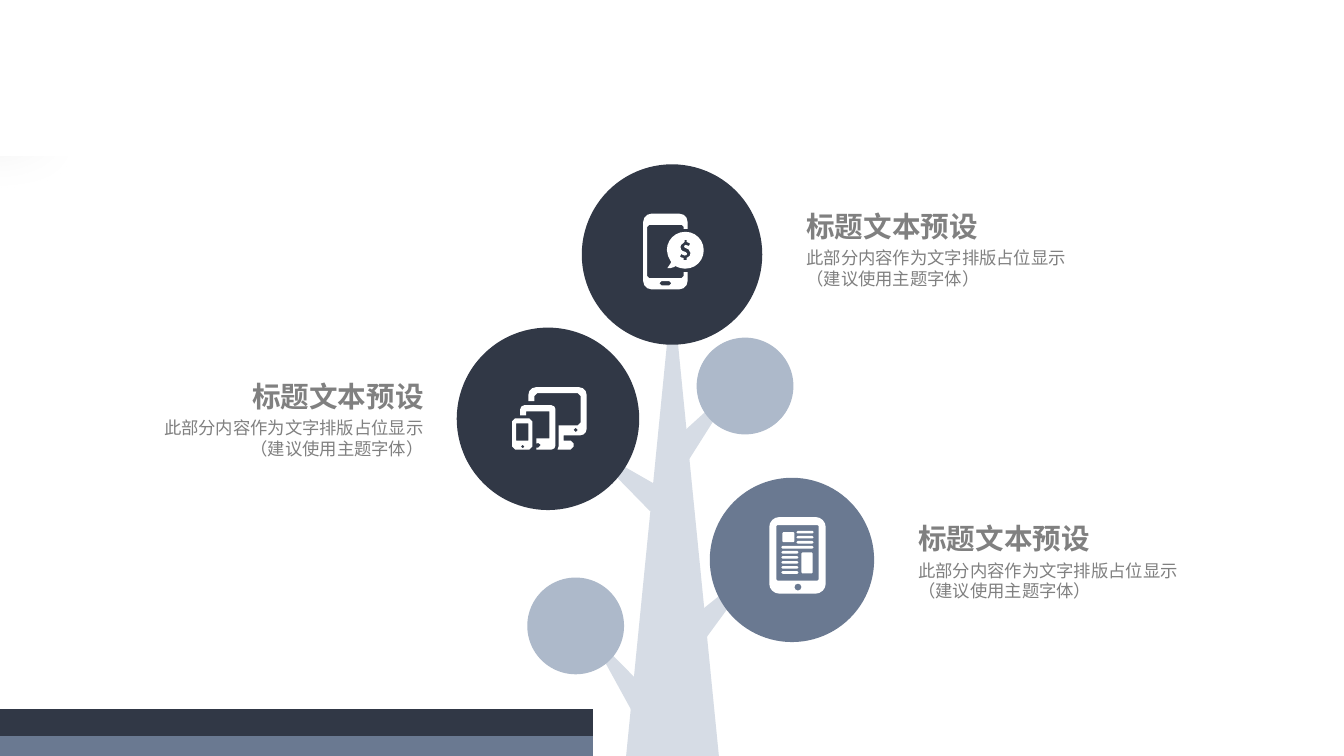
import math
import pptx
import pptx.util
import pptx.dml.color
import pptx.enum.shapes
import pptx.enum.text
import pptx.oxml
import pptx.oxml.ns
import lxml.etree

Inches = pptx.util.Inches
Shape = pptx.enum.shapes.MSO_SHAPE
Align = pptx.enum.text.PP_ALIGN
Anchor = pptx.enum.text.MSO_ANCHOR

# Content
FONT = "Noto Sans CJK SC"
TITLE = "标题文本预设"
BODY = ("此部分内容作为文字排版占位显示", "（建议使用主题字体）")
NOTES = [  # left, top, width, alignment
    (1.31, 3.76, 2.99, Align.RIGHT),
    (9.01, 5.17, 2.98, Align.LEFT),
    (7.90, 2.07, 2.98, Align.LEFT),
]
DARK, BLUE, PALE, BARK = "313846", "6A7991", "ADB9CA", "D6DCE5"
WHITE, GREY = "FFFFFF", "808080"
TRUNK = (6.21, 2.86, 0.92, 4.64, 0)
LIMBS = [  # left, top, width, height, turn
    (5.97, 6.15, 0.26, 0.93, 323.3),
    (6.03, 4.22, 0.26, 0.93, 307.7),
    (6.88, 3.68, 0.26, 0.96, 40),
    (7.09, 5.43, 0.26, 0.99, 43.7),
]
CROWNS = [  # left, top, size, colour
    (5.77, 1.63, 1.79, DARK),
    (6.91, 3.35, 0.96, PALE),
    (7.04, 4.74, 1.63, BLUE),
    (5.23, 5.73, 0.96, PALE),
    (4.53, 3.25, 1.81, DARK),
]
SHADE = (
    '<a:effectLst %s><a:outerShdw blurRad="635000" dist="762000" '
    'dir="7800000" rotWithShape="0"><a:srgbClr val="000000">'
    '<a:alpha val="25000"/></a:srgbClr></a:outerShdw></a:effectLst>'
    % pptx.oxml.ns.nsdecls("a"))


# Icon outlines: loops of corners, each (x, y, corner radius)
def box(l, t, r, b, rad=0):
    return [(l, t, rad), (r, t, rad), (r, b, rad), (l, b, rad)]


def bar(l, r, mid):
    return box(l, mid - 0.013, r, mid + 0.013, 0.012)


def disc(x, y, rad):
    return box(x - rad, y - rad, x + rad, y + rad, rad)


READER = [
    box(7.63, 5.13, 8.19, 5.89, 0.1),
    box(7.70, 5.21, 8.12, 5.76, 0.01),
    disc(7.915, 5.825, 0.035),
    box(7.76, 5.28, 7.88, 5.38, 0.01),
    box(7.95, 5.48, 8.06, 5.69, 0.01),
    bar(7.75, 8.07, 5.43),
    *[bar(7.90, 8.07, 5.28 + 0.05 * i) for i in range(3)],
    *[bar(7.75, 7.92, 5.48 + 0.05 * i) for i in range(5)],
]
DOLLAR = [
    (6.79, 2.38), (6.79, 2.40), (6.78, 2.41), (6.755, 2.43), (6.75, 2.45),
    (6.755, 2.475), (6.77, 2.49), (6.80, 2.50), (6.815, 2.515), (6.81, 2.53),
    (6.79, 2.535), (6.755, 2.52), (6.745, 2.55), (6.78, 2.56), (6.78, 2.58),
    (6.81, 2.58), (6.81, 2.56), (6.84, 2.54), (6.85, 2.51), (6.83, 2.475),
    (6.79, 2.455), (6.785, 2.44), (6.80, 2.43), (6.835, 2.44), (6.845, 2.415),
    (6.81, 2.40), (6.81, 2.38),
]
PHONE = [
    [(6.38, 2.12, 0.08), (6.82, 2.12, 0.08), (6.82, 2.27, 0), (6.78, 2.27, 0),
     (6.78, 2.23, 0.02), (6.42, 2.23, 0.02), (6.42, 2.76, 0.02),
     (6.78, 2.76, 0.02), (6.78, 2.70, 0), (6.82, 2.70, 0),
     (6.82, 2.87, 0.08), (6.38, 2.87, 0.08)],
    box(6.54, 2.79, 6.66, 2.83, 0.02),
    [(6.615, 2.30, 0.18), (6.98, 2.30, 0.18), (6.98, 2.665, 0.18),
     (6.75, 2.665, 0.04), (6.70, 2.64, 0), (6.67, 2.66, 0.02),
     (6.62, 2.66, 0), (6.66, 2.60, 0.01), (6.615, 2.54, 0.06)],
    [(x, y, 0) for x, y in DOLLAR],
]
SCREENS = [
    [(5.24, 3.84, 0.08), (5.82, 3.84, 0.08), (5.82, 4.32, 0.07),
     (5.59, 4.32, 0), (5.59, 4.37, 0), (5.69, 4.37, 0.03),
     (5.69, 4.46, 0.03), (5.53, 4.46, 0), (5.54, 4.43, 0), (5.54, 4.22, 0),
     (5.76, 4.22, 0.03), (5.76, 3.90, 0.03), (5.30, 3.90, 0.03),
     (5.30, 3.98, 0), (5.24, 3.98, 0)],
    disc(5.71, 4.265, 0.022),
    [(5.16, 4.02, 0.04), (5.51, 4.02, 0.04), (5.51, 4.46, 0.04),
     (5.32, 4.46, 0), (5.32, 4.44, 0), (5.36, 4.44, 0.02),
     (5.36, 4.39, 0.02), (5.32, 4.40, 0), (5.32, 4.35, 0), (5.45, 4.35, 0),
     (5.45, 4.08, 0), (5.22, 4.08, 0), (5.22, 4.12, 0), (5.16, 4.12, 0)],
    box(5.08, 4.15, 5.28, 4.46, 0.03),
    box(5.12, 4.20, 5.24, 4.37),
    disc(5.185, 4.43, 0.018),
]

# Helpers
deck = pptx.Presentation()
deck.slide_width, deck.slide_height = Inches(13.33), Inches(7.5)
slide = deck.slides.add_slide(deck.slide_layouts[6])
shapes = slide.shapes


def tint(code):
    return pptx.dml.color.RGBColor.from_string(code)


def style(item, code):
    item.shadow.inherit = False
    item.line.fill.background()
    item.fill.solid()
    item.fill.fore_color.rgb = tint(code)


def draw(kind, l, t, w, h, code, turn=0):
    item = shapes.add_shape(kind, Inches(l), Inches(t), Inches(w), Inches(h))
    item.rotation = turn
    style(item, code)
    return item


def curve(loop):
    pts = []
    for i, (x, y, rad) in enumerate(loop):
        ends = []
        for px, py, _ in (loop[i - 1], loop[(i + 1) % len(loop)]):
            far = math.hypot(px - x, py - y)
            ends.append(((px - x) * rad / far, (py - y) * rad / far))
        (ax, ay), (bx, by) = ends
        steps = 1 + int(rad * 30)
        for k in range(steps + 1 if rad else 1):
            turn = k / steps * math.pi / 2
            a, b = 1 - math.sin(turn), 1 - math.cos(turn)
            pts.append((x + ax * a + bx * b, y + ay * a + by * b))
    return [(Inches(x), Inches(y)) for x, y in pts]


def icon(loops):
    pen = None
    for pts in map(curve, loops):
        if pen is None:
            pen = shapes.build_freeform(*pts[0])
        else:
            pen.move_to(*pts[0])
        pen.add_line_segments(pts[1:], close=True)
    style(pen.convert_to_shape(), WHITE)


def label(l, t, w, h, lines, size, bold, align, anchor, wrap):
    frame = shapes.add_textbox(
        Inches(l), Inches(t), Inches(w), Inches(h)).text_frame
    form = dict(word_wrap=wrap, vertical_anchor=anchor, margin_top=0,
                margin_bottom=0, margin_left=Inches(0.1),
                margin_right=Inches(0.1))
    for key, val in form.items():
        setattr(frame, key, val)
    para = frame.paragraphs[0]
    para.alignment = align
    for i, line in enumerate(lines):
        if i:
            para.add_line_break()
        run = para.add_run()
        run.text = line
        look = dict(name=FONT, size=pptx.util.Pt(size), bold=bold)
        for key, val in look.items():
            setattr(run.font, key, val)
        run.font.color.rgb = tint(GREY)
        east = lxml.etree.SubElement(
            run.font._element, pptx.oxml.ns.qn("a:ea"))
        east.set("typeface", FONT)


def blend(item, stops):
    item.fill.gradient()
    item.fill.gradient_angle = 270
    for stop, (place, code) in zip(item.fill.gradient_stops, stops):
        stop.position = place
        stop.color.rgb = tint(code)


# Corner disc, whose soft shadow falls below the header
knob = draw(Shape.OVAL, 0.32, 0.21, 0.44, 0.46, WHITE)
blend(knob, [(0, WHITE), (1, "D9D9D9")])
props = knob._element.spPr
props.replace(props.find(pptx.oxml.ns.qn("a:effectLst")),
              pptx.oxml.parse_xml(SHADE))

# Footer band with a hard colour change
band = draw(Shape.RECTANGLE, 0, 7.03, 5.88, 0.47, DARK)
blend(band, [(0.58, DARK), (0.58, BLUE)])

# Notes
for l, t, w, align in NOTES:
    label(l, t + 0.27, w, 0.64, BODY, 12.4, False, align, Anchor.MIDDLE, True)
    label(l, t, w, 0.27, [TITLE], 20.4, True, align, Anchor.TOP, False)

# Tree
for l, t, w, h, turn in [TRUNK] + LIMBS:
    draw(Shape.ISOSCELES_TRIANGLE, l, t, w, h, BARK, turn)
for l, t, size, code in CROWNS:
    draw(Shape.OVAL, l, t, size, size, code)
for loops in (READER, PHONE, SCREENS):
    icon(loops)

# Blank header
draw(Shape.RECTANGLE, 0, 0, 13.33, 1.55, WHITE)

deck.save("out.pptx")
